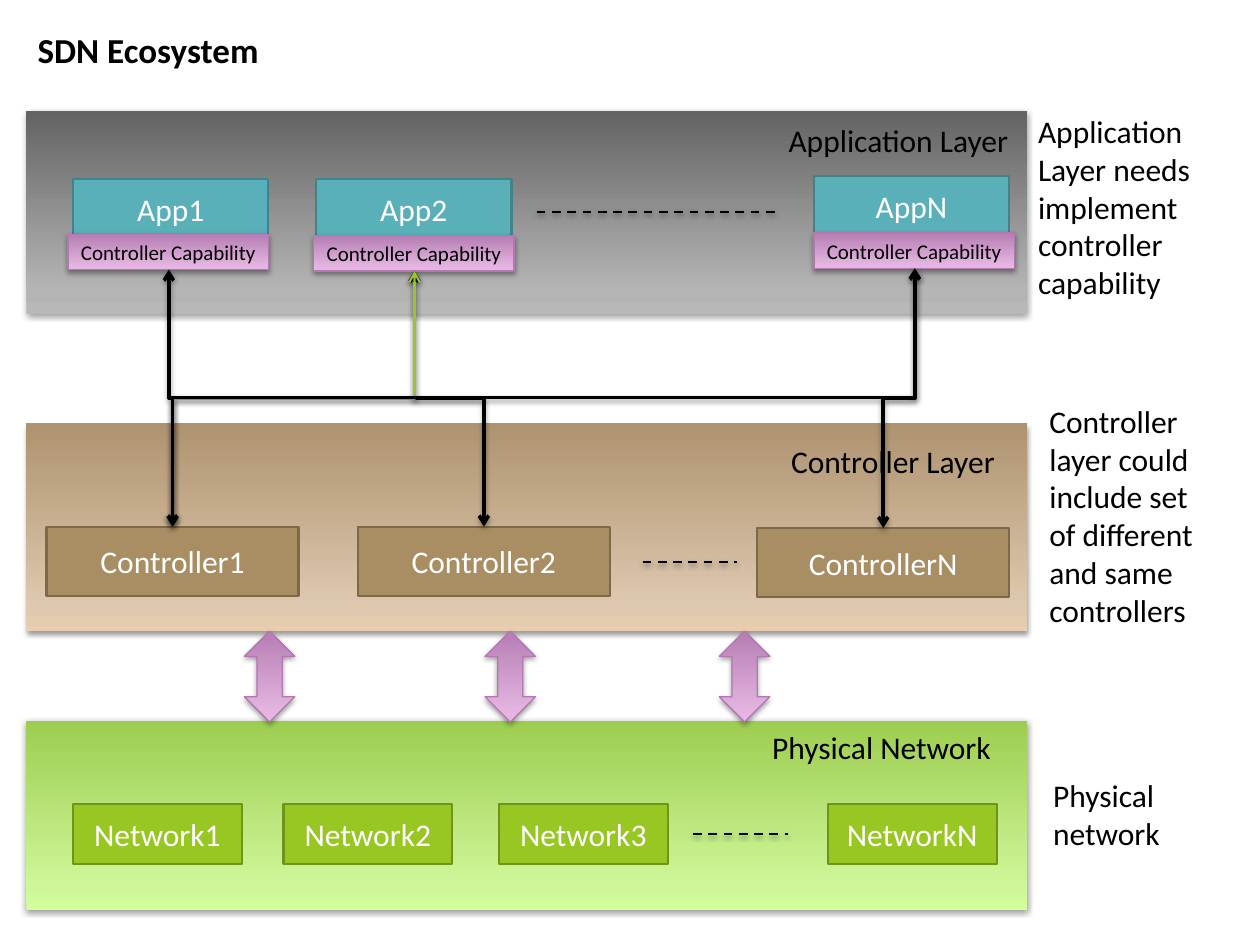
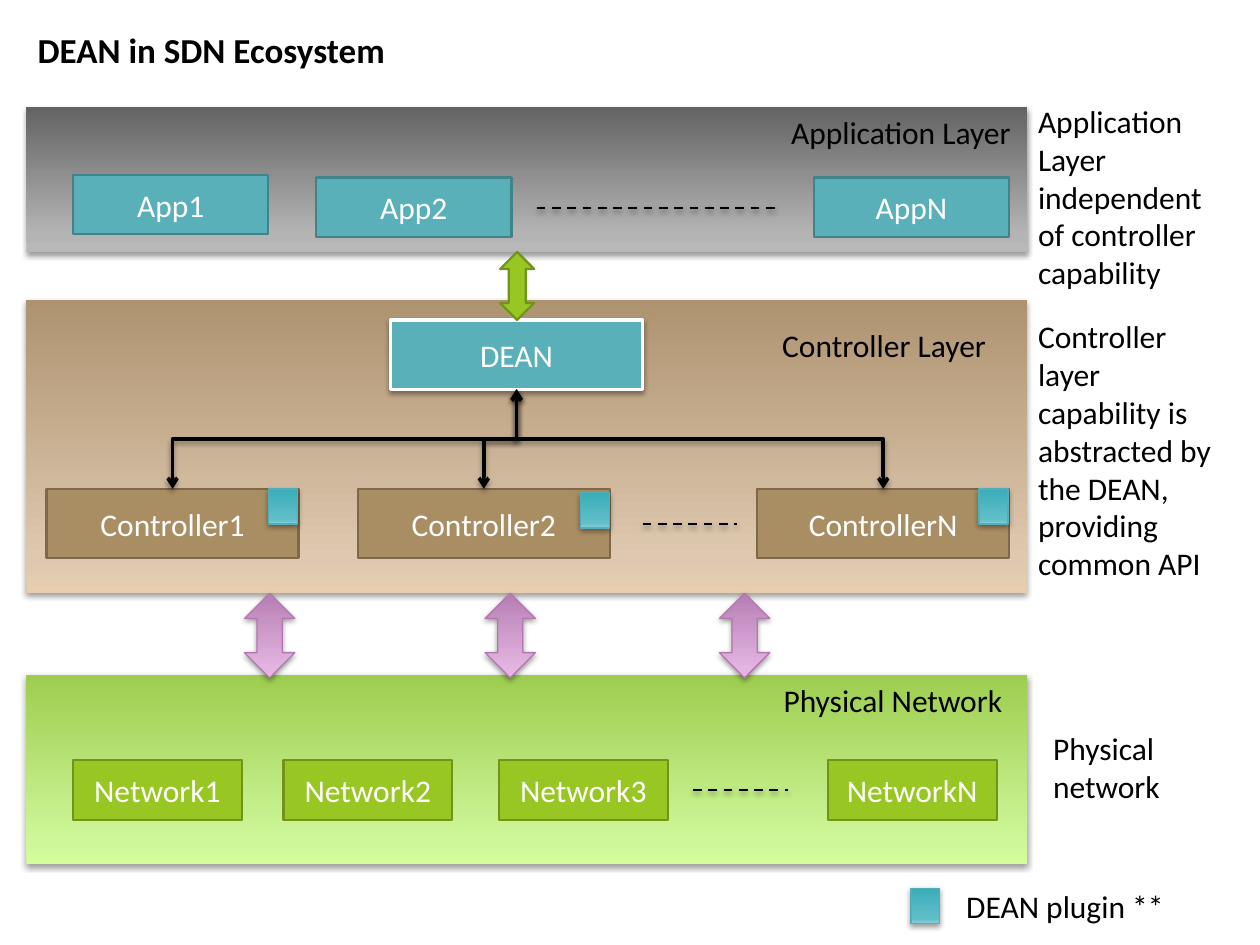
from copy import deepcopy

from pptx import Presentation
from pptx.dml.color import RGBColor
from pptx.enum.dml import MSO_LINE
from pptx.enum.shapes import MSO_CONNECTOR as LINK, MSO_SHAPE as FORM
from pptx.enum.text import MSO_ANCHOR, MSO_AUTO_SIZE as AUTO, PP_ALIGN
from pptx.oxml import parse_xml
from pptx.oxml.ns import nsdecls, qn
from pptx.util import Emu, Pt

SCALE = 9144  # 100 px to the inch
FONT = "Calibri"
COLORS = {
    "black": "000000", "white": "FFFFFF",
    "app": "59B0B9", "app edge": "428289",
    "control": "A98D63", "control edge": "7D6849",
    "net": "98C723", "net edge": "70931A",
    "pink edge": "B477B1", "plug edge": "55AEB7",
}
# Gradients run from the bottom up
BLENDS = {
    "app": ("B8B8B8", "B4B4B4", "636363"),
    "control": ("E8CDAE", "DEC8AF", "AE9370"),
    "net": ("D3FF9A", "CEF799", "9DCD50"),
    "pink": ("EDB4EA", "E3B4E0", "B67EB3"),
    "plug": ("85D2DC", "62BFCA", "39ADB8"),
}
# Band label, box names, box lefts, box size, dash ends
ROWS = {
    "app": ("Application Layer", ("App1", "App2", "AppN"),
            (58, 251, 646), (155, 47), (426, 619)),
    "control": ("Controller Layer", ("Controller1", "Controller2", "ControllerN"),
                (37, 284, 601), (200, 55), (510, 585)),
    "net": ("Physical Network", ("Network1", "Network2", "Network3", "NetworkN"),
            (58, 225, 396, 657), (134, 48), (550, 625)),
}
MIDS = [x + 100 for x in ROWS["control"][2]]


def px(n):
    return Emu(int(n * SCALE))


def tint(name):
    return RGBColor.from_string(COLORS[name])


class Deck:
    def __init__(self):
        self.prs = Presentation()
        self.prs.slide_width, self.prs.slide_height = px(1000), px(750)

    def page(self, title):
        self.slide = self.prs.slides.add_slide(self.prs.slide_layouts[6])
        self.text(title, 20, 18, 304, 44, size=20, bold=True, wrap=False)

    def style(self, frame, size, color, bold=False, align=None):
        for para in frame.paragraphs:
            para.alignment = align
            for run in para.runs:
                font = run.font
                font.name, font.size, font.bold = FONT, Pt(size), bold
                font.color.rgb = tint(color)

    def shade(self, item):
        item._element.spPr.append(parse_xml(
            f'<a:effectLst {nsdecls("a")}><a:outerShdw blurRad="40000" dist="20000" '
            'dir="5400000" rotWithShape="0"><a:srgbClr val="000000">'
            '<a:alpha val="38000"/></a:srgbClr></a:outerShdw></a:effectLst>'))

    def text(self, words, x, y, w, h, size=18, bold=False, wrap=True):
        frame = self.slide.shapes.add_textbox(px(x), px(y), px(w), px(h)).text_frame
        frame.text = words
        frame.word_wrap, frame.auto_size = wrap, AUTO.SHAPE_TO_FIT_TEXT
        self.style(frame, size, "black", bold)

    def shape(self, form, x, y, w, h, fill=None, blend=None, edge=None,
              width=1.25, words="", size=18, color="white", shadow=False):
        item = self.slide.shapes.add_shape(form, px(x), px(y), px(w), px(h))
        if blend:
            item.fill.gradient()
            item.fill.gradient_angle = 90
            stops = item._element.spPr.find(".//" + qn("a:gsLst"))
            stops.insert(1, deepcopy(stops[0]))
            for stop, spot, code in zip(item.fill.gradient_stops, (0, 0.12, 1),
                                        BLENDS[blend]):
                stop.position, stop.color.rgb = spot, RGBColor.from_string(code)
        else:
            item.fill.solid()
            item.fill.fore_color.rgb = tint(fill)
        if edge:
            item.line.color.rgb = tint(edge)
            item.line.width = Pt(width)
        else:
            item.line.fill.background()
        if shadow:
            self.shade(item)
        else:
            item.shadow.inherit = False
        if words:
            frame = item.text_frame
            frame.text = words
            frame.vertical_anchor = MSO_ANCHOR.MIDDLE
            self.style(frame, size, color, align=PP_ALIGN.CENTER)

    def line(self, kind, x1, y1, x2, y2, color="black", width=1.25):
        item = self.slide.shapes.add_connector(kind, px(x1), px(y1), px(x2), px(y2))
        item.line.color.rgb, item.line.width = tint(color), Pt(width)
        self.shade(item)
        return item

    def dash(self, x1, x2, y):
        self.line(LINK.STRAIGHT, x1, y, x2, y).line.dash_style = MSO_LINE.DASH

    def bend(self, start, end, color="black", width=2):
        """Elbow that leaves upwards: a sideways elbow turned by 270 degrees."""
        (x1, y1), (x2, y2) = start, end
        mx, my = (x1 + x2) / 2, (y1 + y2) / 2
        dx, dy = (x2 - x1) / 2, (y1 - y2) / 2
        item = self.line(LINK.ELBOW, mx - dy, my - dx, mx + dy, my + dx, color, width)
        item._element.spPr.find(qn("a:xfrm")).set("rot", "16200000")
        for tag in ("headEnd", "tailEnd"):
            item.line._get_or_add_ln().append(
                parse_xml(f'<a:{tag} {nsdecls("a")} type="arrow"/>'))

    def layer(self, kind, top, high, tops, label, dash):
        name, names, lefts, (w, h), (x1, x2) = ROWS[kind]
        self.shape(FORM.FLOWCHART_PROCESS, 21, top, 794, high, blend=kind, shadow=True)
        for words, x, y in zip(names, lefts, tops):
            self.shape(FORM.FLOWCHART_PROCESS, x, y, w, h, kind,
                       edge=kind + " edge", words=words)
        self.dash(x1, x2, dash)
        self.text(name, *label, 195, 40, wrap=False)

    def arrows(self, top, high):
        for x in (194, 385, 571):
            self.shape(FORM.UP_DOWN_ARROW, x, top, 40, high, blend="pink",
                       edge="pink edge", width=0.75, shadow=True)

    def plug(self, x, y):
        self.shape(FORM.RECTANGLE, x, y, 23, 28, blend="plug",
                   edge="plug edge", width=0.75, shadow=True)


def today(deck):
    deck.page("SDN Ecosystem")
    # Layers
    deck.layer("control", 336, 165, (418, 418, 419), (618, 346), 446)
    deck.layer("net", 572, 150, (638,) * 4, (603, 573), 662)
    deck.layer("app", 88, 161, (142, 142, 140), (616, 91), 168)
    deck.arrows(501, 72)
    # Capability strips
    for x, y in ((54, 186), (249, 187), (646, 185)):
        deck.shape(FORM.FLOWCHART_PROCESS, x, y, 159, 28, blend="pink",
                   edge="pink edge", width=0.75, words="Controller Capability",
                   size=12, color="black", shadow=True)
    # Links from controllers to apps
    one, two, last = zip(MIDS, (418, 418, 419))
    first, second, final = (134, 214), (329, 215), (726, 213)
    deck.bend(one, first)
    deck.bend(two, second)
    deck.bend(last, final)
    deck.bend(one, second, "net", 1.25)
    deck.bend(one, final)
    # Side notes
    deck.text("Application\nLayer needs implement controller capability",
              814, 84, 150, 162)
    deck.text("Controller layer could include set of different and same controllers",
              823, 314, 150, 192)
    deck.text("Physical network", 826, 611, 150, 71)


def dean(deck):
    deck.page("DEAN in SDN Ecosystem")
    # Layers
    deck.layer("control", 238, 233, (388,) * 3, (611, 254), 416)
    deck.layer("net", 536, 150, (603,) * 4, (612, 536), 627)
    deck.layer("app", 85, 115, (139, 141, 141), (618, 85), 165)
    deck.arrows(471, 67)
    # Hub and its links
    deck.shape(FORM.FLOWCHART_PROCESS, 310, 254, 200, 55, "app", edge="white",
               width=2, words="DEAN", shadow=True)
    for x in MIDS:
        deck.bend((x, 388), (410, 309))
    deck.shape(FORM.UP_DOWN_ARROW, 397, 200, 27, 54, "net", edge="net edge")
    # Side notes
    deck.text("Application\nLayer independent of controller capability",
              814, 76, 166, 162)
    deck.text("Controller layer capability is abstracted by the DEAN, "
              "providing common API", 814, 247, 158, 222)
    deck.text("Physical network", 826, 574, 150, 71)
    # Plugins and their key
    for x, y in ((213, 388), (461, 391), (777, 388), (723, 705)):
        deck.plug(x, y)
    deck.text("DEAN plugin **", 757, 699, 205, 40)


def main():
    deck = Deck()
    today(deck)
    dean(deck)
    deck.prs.save("out.pptx")


if __name__ == "__main__":
    main()
